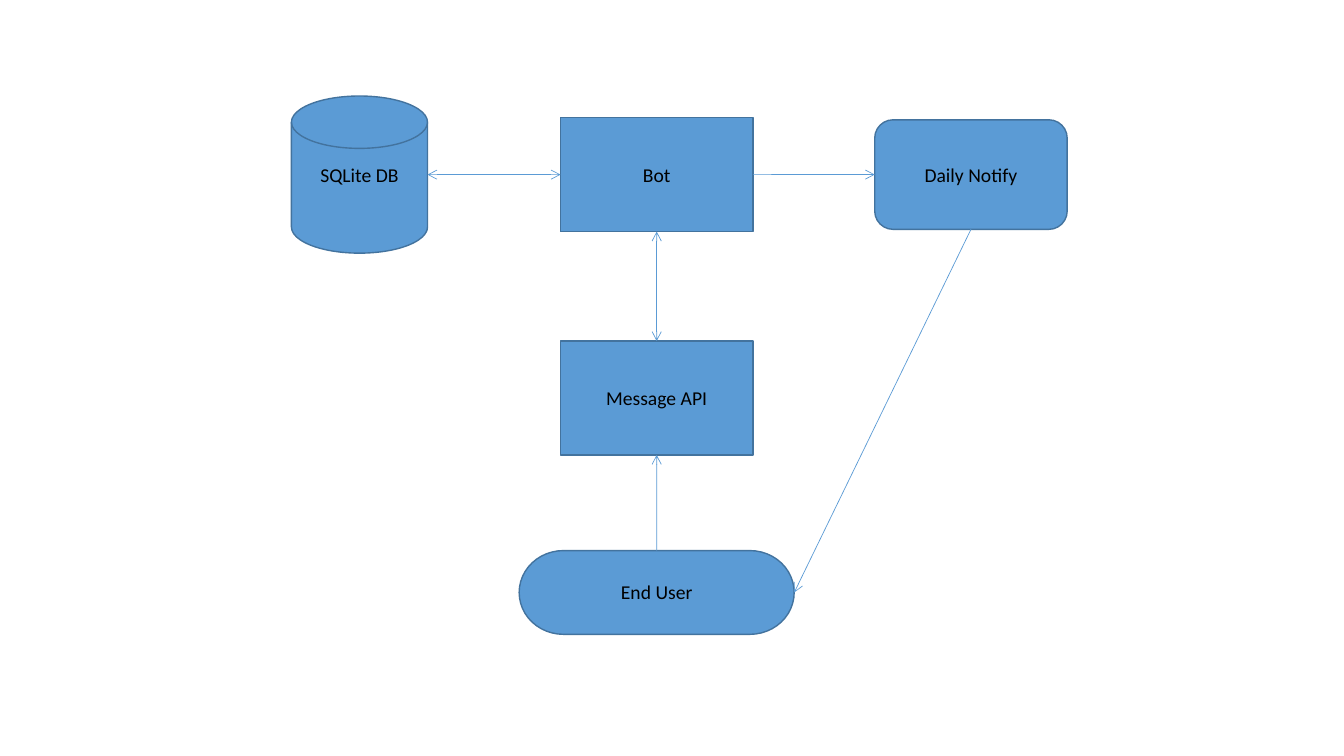
from lxml import etree
from pptx import Presentation
from pptx.dml.color import RGBColor
from pptx.enum.shapes import MSO_CONNECTOR, MSO_SHAPE
from pptx.enum.text import MSO_AUTO_SIZE, PP_ALIGN
from pptx.oxml.ns import qn
from pptx.util import Cm, Pt

DISK = MSO_SHAPE.FLOWCHART_MAGNETIC_DISK
PROCESS = MSO_SHAPE.FLOWCHART_PROCESS
ROUNDED = MSO_SHAPE.FLOWCHART_ALTERNATE_PROCESS
TERMINATOR = MSO_SHAPE.FLOWCHART_TERMINATOR
STRAIGHT = MSO_CONNECTOR.STRAIGHT
CENTER = PP_ALIGN.CENTER
FIT_TEXT = MSO_AUTO_SIZE.SHAPE_TO_FIT_TEXT
TOP, LEFT, BOTTOM, RIGHT = range(4)
DISK_RIGHT = 4

COLORS = {"fill": "5B9BD5", "outline": "43739E", "text": "000000"}
LABEL_FONT = {"name": "Calibri", "size": Pt(14)}
LABEL_FRAME = {"word_wrap": True, "auto_size": FIT_TEXT}
LABEL_HEIGHT = 0.86

LEFT_X, MIDDLE_X, RIGHT_X = 9.06, 16.55, 24.47
TOP_Y, API_Y, USER_Y = 4.4, 10.03, 14.93

NODES = {
    "SQLite DB": (DISK, LEFT_X, TOP_Y, 3.43, 3.96, 3.4),
    "Message API": (PROCESS, MIDDLE_X, API_Y, 4.85, 2.87, 3.25),
    "End User": (TERMINATOR, MIDDLE_X, USER_Y, 6.93, 2.11, 4.14),
    "Bot": (PROCESS, MIDDLE_X, TOP_Y, 4.85, 2.87, 2.87),
    "Daily Notify": (ROUNDED, RIGHT_X, TOP_Y, 4.85, 2.76, 3.33),
}
ARROWS = [
    ("SQLite DB", RIGHT, "Bot", LEFT, True),
    ("Bot", BOTTOM, "Message API", TOP, True),
    ("End User", TOP, "Message API", BOTTOM, False),
    ("Bot", RIGHT, "Daily Notify", LEFT, False),
    ("Daily Notify", BOTTOM, "End User", RIGHT, False),
]


def color(key):
    return RGBColor.from_string(COLORS[key])


def apply(target, values):
    for name, value in values.items():
        setattr(target, name, value)


def centered(cx, cy, w, h):
    return Cm(cx - w / 2), Cm(cy - h / 2), Cm(w), Cm(h)


def add_label(slide, text, cx, cy, w):
    tf = slide.shapes.add_textbox(*centered(cx, cy, w, LABEL_HEIGHT)).text_frame
    apply(tf, LABEL_FRAME)
    p = tf.paragraphs[0]
    p.alignment = CENTER
    r = p.add_run()
    r.text = text
    apply(r.font, LABEL_FONT)
    r.font.color.rgb = color("text")


def add_node(slide, text, kind, cx, cy, w, h, label_w):
    sp = slide.shapes.add_shape(kind, *centered(cx, cy, w, h))
    sp.shadow.inherit = False
    sp.fill.solid()
    sp.fill.fore_color.rgb = color("fill")
    sp.line.color.rgb = color("outline")
    sp.line.width = Pt(1)
    add_label(slide, text, cx, cy, label_w)
    return sp


def add_arrow(slide, start, start_side, end, end_side, both_ways):
    cxn = slide.shapes.add_connector(STRAIGHT, 0, 0, 0, 0)
    cxn.begin_connect(start, start_side)
    cxn.end_connect(end, end_side)
    if start.auto_shape_type == DISK:
        for site in cxn._element.iter(qn("a:stCxn")):
            site.set("idx", str(DISK_RIGHT))
    cxn.line.color.rgb = color("fill")
    cxn.line.width = Pt(0.5)
    ln = cxn.line._get_or_add_ln()
    for tag in ("a:headEnd", "a:tailEnd") if both_ways else ("a:tailEnd",):
        etree.SubElement(ln, qn(tag), type="arrow")
    etree.SubElement(cxn._element.spPr, qn("a:effectLst"))


def main():
    prs = Presentation()
    prs.slide_width, prs.slide_height = Cm(33.87), Cm(19.05)
    slide = prs.slides.add_slide(prs.slide_layouts[6])
    nodes = {text: add_node(slide, text, *node) for text, node in NODES.items()}
    for start, start_side, end, end_side, both_ways in ARROWS:
        add_arrow(slide, nodes[start], start_side, nodes[end], end_side, both_ways)
    prs.save("out.pptx")


if __name__ == "__main__":
    main()
